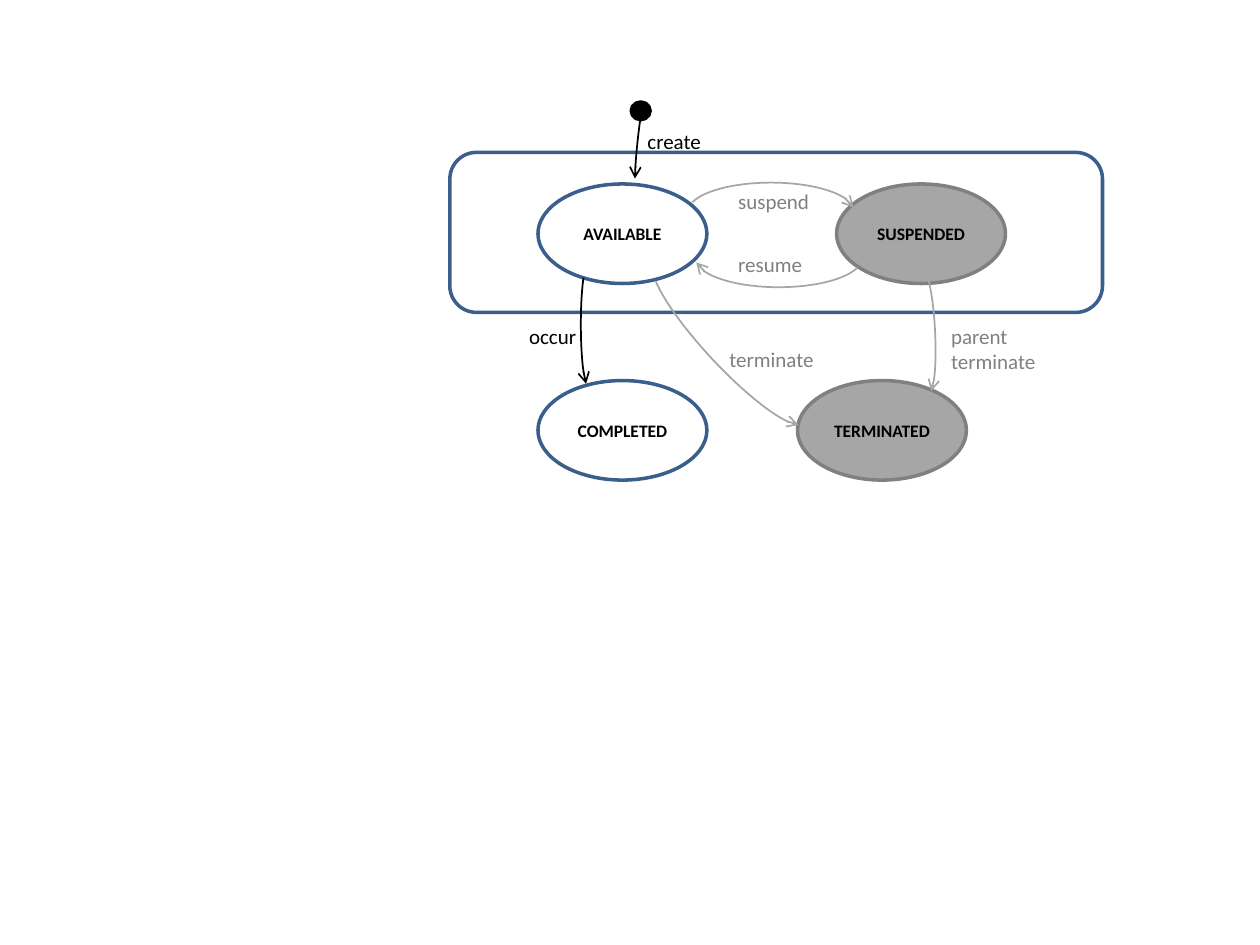
"""Build a slide with the state diagram of an event."""
from lxml import etree
from pptx import Presentation
from pptx.dml.color import RGBColor
from pptx.enum.shapes import MSO_SHAPE
from pptx.enum.text import MSO_ANCHOR, MSO_AUTO_SIZE, PP_ALIGN
from pptx.oxml.ns import qn
from pptx.util import Inches, Pt

OVAL, ARC, ROUND = MSO_SHAPE.OVAL, MSO_SHAPE.ARC, MSO_SHAPE.ROUNDED_RECTANGLE
LEFT, CENTER = PP_ALIGN.LEFT, PP_ALIGN.CENTER
MIDDLE = MSO_ANCHOR.MIDDLE
GROW = MSO_AUTO_SIZE.SHAPE_TO_FIT_TEXT
COLORS = {"black": "000000", "white": "FFFFFF", "blue": "3A5F8C",
          "gray": "808080", "silver": "A6A6A6"}


def color(name):
    return RGBColor.from_string(COLORS[name])


def write(frame, text, size=12, ink="black", bold=False, align=LEFT):
    frame.word_wrap = True
    frame.text = text
    for para in frame.paragraphs:
        para.alignment = align
        font = para.runs[0].font
        font.name, font.size, font.bold = "Calibri", Pt(size), bold
        font.color.rgb = color(ink)


deck = Presentation()
deck.slide_width, deck.slide_height = Inches(10), Inches(7.5)
slide = deck.slides.add_slide(deck.slide_layouts[6])
shapes = slide.shapes

WIDE, HIGH = 1.34, 0.79
TOP, LOW = 1.46, 3.02
nodes = [
    (OVAL, 4.27, TOP, WIDE, HIGH, "white", "blue", "AVAILABLE"),
    (OVAL, 5.01, 0.81, 0.15, 0.14, "black", "black", ""),
    (OVAL, 4.27, LOW, WIDE, HIGH, "white", "blue", "COMPLETED"),
    (ROUND, 3.57, 1.21, 5.18, 1.27, None, "blue", ""),
    (OVAL, 6.33, LOW, WIDE, HIGH, "silver", "gray", "TERMINATED"),
    (OVAL, 6.64, TOP, WIDE, HIGH, "silver", "gray", "SUSPENDED"),
]
for kind, x, y, w, h, fill, line, text in nodes:
    node = shapes.add_shape(kind, Inches(x), Inches(y), Inches(w), Inches(h))
    node.shadow.inherit = False
    if fill:
        node.fill.solid()
        node.fill.fore_color.rgb = color(fill)
    else:
        node.fill.background()
    node.line.color.rgb = color(line)
    node.line.width = Pt(2)
    if text:
        frame = node.text_frame
        frame.margin_left = frame.margin_right = 0
        frame.vertical_anchor = MIDDLE
        write(frame, text, size=10, bold=True, align=CENTER)

moves = [
    (4.72, 1.1, 0.73, 0.05, 96, "HV", "black"),
    (4.17, 2.51, 1.01, 0.13, 90, "HV", "black"),
    (4.92, 2.54, 1.74, 0.37, 46.9, "HV", "silver"),
    (5.46, 1.45, 1.32, 0.46, 180, "V", "silver"),
    (5.52, 1.82, 1.32, 0.46, 0, "V", "silver"),
    (6.83, 2.54, 1.02, 0.16, 266.9, "V", "silver"),
]
for x, y, w, h, turn, flips, line in moves:
    arc = shapes.add_shape(ARC, Inches(x), Inches(y), Inches(w), Inches(h))
    arc.shadow.inherit = False
    arc.fill.background()
    arc.adjustments[0], arc.adjustments[1] = 109.72, 211.92
    arc.rotation = turn
    for axis in flips:
        arc.element.spPr.find(qn("a:xfrm")).set("flip" + axis, "1")
    arc.line.color.rgb = color(line)
    arc.line.width = Pt(1)
    stroke = arc.element.spPr.find(qn("a:ln"))
    etree.SubElement(stroke, qn("a:headEnd"), type="arrow")

labels = [
    ("occur", 4.1, 2.52, 0.65, 0.3, "black"),
    ("suspend", 5.76, 1.45, 0.79, 0.3, "gray"),
    ("resume", 5.76, 1.95, 0.79, 0.3, "gray"),
    ("create", 5.04, 0.97, 0.9, 0.3, "black"),
    ("terminate", 5.69, 2.7, 0.96, 0.3, "gray"),
    ("parent\nterminate", 7.45, 2.52, 0.96, 0.5, "gray"),
]
for text, x, y, w, h, ink in labels:
    label = shapes.add_textbox(Inches(x), Inches(y), Inches(w), Inches(h))
    label.text_frame.auto_size = GROW
    write(label.text_frame, text, ink=ink)

deck.save("out.pptx")
